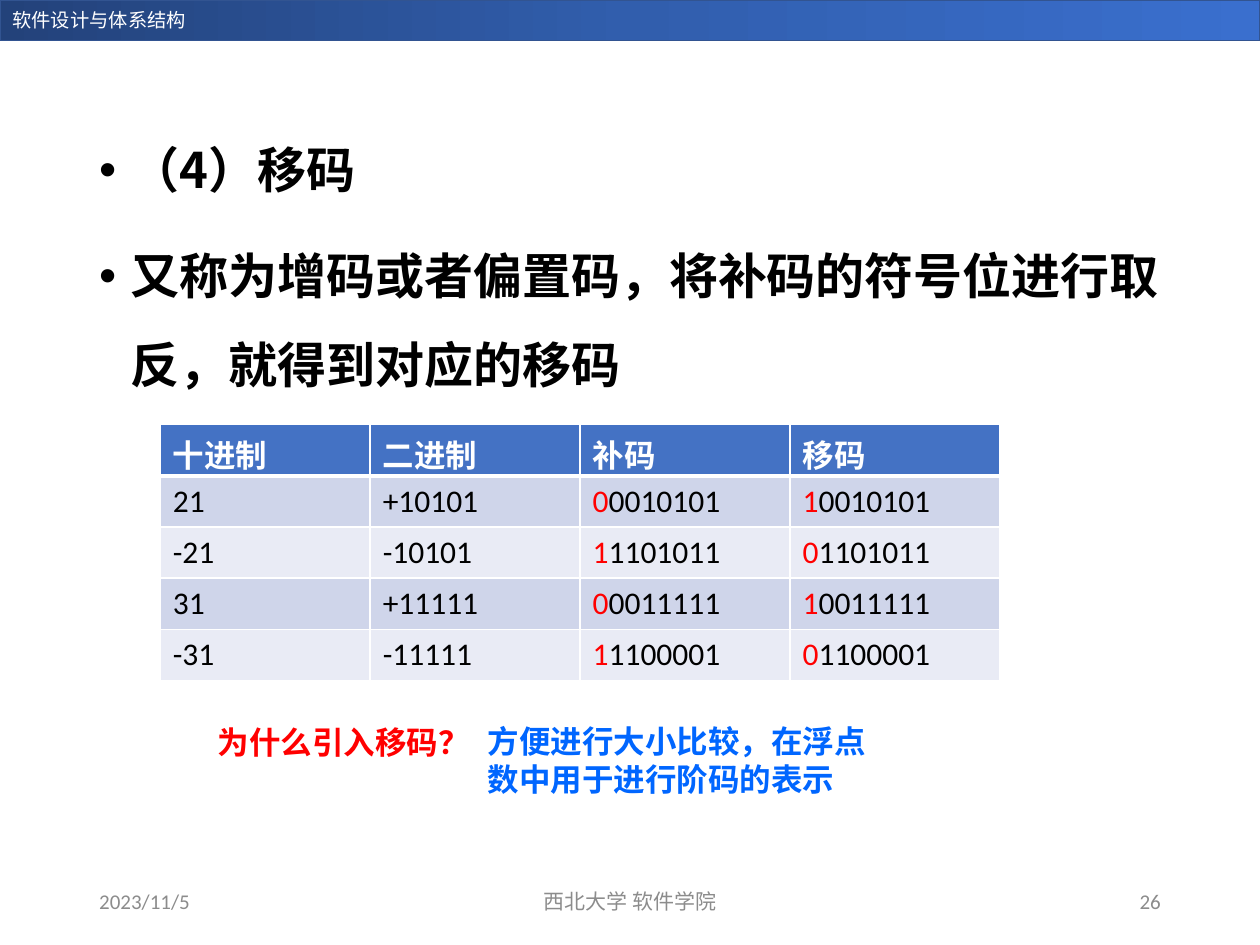
from copy import deepcopy
from dataclasses import dataclass

from lxml.etree import SubElement
from pptx import Presentation
from pptx.dml.color import RGBColor
from pptx.enum.shapes import MSO_SHAPE
from pptx.enum.text import MSO_ANCHOR, PP_ALIGN
from pptx.oxml.ns import qn
from pptx.util import Cm, Pt

LATIN, CHINESE = "Calibri", "Noto Sans CJK SC"
BLACK, WHITE, RED, BLUE, GREY = "000000", "FFFFFF", "FF0000", "0066FF", "8C8C8C"
HEADER_FILL, BAND_FILLS = "4472C4", ("CFD5EA", "E9EBF5")
BAR_STOPS = ((0, "23427A"), (0.5, "315EAD"), (1, "3A6FCE"))
BULLETS = (
    ("（4）移码", {"line_spacing": 0.9}),
    (
        "又称为增码或者偏置码，将补码的符号位进行取反，就得到对应的移码",
        {"line_spacing": 1.5, "space_before": Pt(10)},
    ),
)
HEADINGS = ("十进制", "二进制", "补码", "移码")
ROWS = (
    ("21", "+10101", "00010101", "10010101"),
    ("-21", "-10101", "11101011", "01101011"),
    ("31", "+11111", "00011111", "10011111"),
    ("-31", "-11111", "11100001", "01100001"),
)
SIGNED_COLUMNS = (2, 3)


@dataclass(frozen=True)
class Style:
    size: float
    color: str
    name: str = LATIN
    bold: bool = False


@dataclass(frozen=True)
class Label:
    text: str
    left: float
    top: float
    width: float
    height: float
    style: Style
    alignment: PP_ALIGN = PP_ALIGN.LEFT
    anchor: MSO_ANCHOR = MSO_ANCHOR.TOP


FOOTER = Style(12, GREY)
LABELS = (
    Label("软件设计与体系结构", 0, 0.05, 6.32, 0.74, Style(11, WHITE)),
    Label("2023/11/5", 1.75, 17.65, 5.72, 1.02, FOOTER, anchor=MSO_ANCHOR.MIDDLE),
    Label("西北大学 软件学院", 8.41, 17.65, 8.58, 1.02, FOOTER, PP_ALIGN.CENTER, MSO_ANCHOR.MIDDLE),
    Label("26", 17.93, 17.65, 5.72, 1.02, FOOTER, PP_ALIGN.RIGHT, MSO_ANCHOR.MIDDLE),
    Label("为什么引入移码？", 4.14, 14.45, 5.41, 1.02, Style(18, RED, CHINESE, True)),
    Label(
        "方便进行大小比较，在浮点数中用于进行阶码的表示",
        9.58, 14.43, 8.58, 1.8, Style(18, BLUE, CHINESE, True),
    ),
)


def rgb(value: str) -> RGBColor:
    """Turn a hex string into a colour."""
    return RGBColor.from_string(value)


def apply(target, values: dict) -> None:
    """Set every attribute named in the values."""
    for name, value in values.items():
        setattr(target, name, value)


def add_run(paragraph, text: str, style: Style) -> None:
    """Append one styled run to a paragraph."""
    run = paragraph.add_run()
    run.text = text
    apply(run.font, {"size": Pt(style.size), "bold": style.bold, "name": style.name})
    run.font.color.rgb = rgb(style.color)
    SubElement(run.font._element, qn("a:ea"), typeface=CHINESE)


def add_box(slide, left: float, top: float, width: float, height: float):
    """Add a wrapping text frame at a place given in centimetres."""
    frame = slide.shapes.add_textbox(Cm(left), Cm(top), Cm(width), Cm(height)).text_frame
    frame.word_wrap = True
    return frame


def add_label(slide, label: Label) -> None:
    """Add a text box holding a single paragraph."""
    frame = add_box(slide, label.left, label.top, label.width, label.height)
    frame.vertical_anchor = label.anchor
    frame.paragraphs[0].alignment = label.alignment
    add_run(frame.paragraphs[0], label.text, label.style)


def add_title_bar(slide) -> None:
    """Draw the gradient bar along the top edge."""
    bar = slide.shapes.add_shape(MSO_SHAPE.RECTANGLE, 0, 0, Cm(25.4), Cm(0.82))
    bar.shadow.inherit = False
    bar.fill.gradient()
    bar.fill.gradient_angle = 0
    stop_list = bar._element.spPr.find(".//" + qn("a:gsLst"))
    stop_list.append(deepcopy(stop_list[0]))
    for stop, (position, color) in zip(bar.fill.gradient_stops, BAR_STOPS):
        stop.position = position
        stop.color.rgb = rgb(color)
    bar.line.color.rgb = rgb("325491")
    bar.line.width = Pt(1)


def add_bullets(slide) -> None:
    """Add the bulleted definition."""
    frame = add_box(slide, 1.75, 2.82, 21.9, 12.09)
    for index, (text, spacing) in enumerate(BULLETS):
        paragraph = frame.add_paragraph() if index else frame.paragraphs[0]
        apply(paragraph, spacing)
        properties = paragraph._p.get_or_add_pPr()
        properties.set("marL", str(Cm(0.64)))
        properties.set("indent", str(Cm(-0.64)))
        SubElement(properties, qn("a:buFont"), typeface="Arial")
        SubElement(properties, qn("a:buChar"), char="•")
        add_run(paragraph, text, Style(28, BLACK, CHINESE, True))


def set_borders(cell, bottom: float) -> None:
    """Give a cell white borders with a chosen bottom width."""
    properties = cell._tc.get_or_add_tcPr()
    for side, width in (("L", 1), ("R", 1), ("T", 1), ("B", bottom)):
        line = SubElement(properties, qn(f"a:ln{side}"), w=str(Pt(width)))
        SubElement(SubElement(line, qn("a:solidFill")), qn("a:srgbClr"), val=WHITE)


def add_code_table(slide) -> None:
    """Add the table of codes with red sign bits."""
    table = slide.shapes.add_table(
        len(ROWS) + 1, len(HEADINGS), Cm(3.23), Cm(8.56), Cm(16.93), Cm(5.16)
    ).table
    for row_index, texts in enumerate((HEADINGS, *ROWS)):
        is_header = row_index == 0
        fill = HEADER_FILL if is_header else BAND_FILLS[(row_index - 1) % 2]
        style = Style(18, WHITE if is_header else BLACK, bold=is_header)
        for column, text in enumerate(texts):
            cell = table.cell(row_index, column)
            set_borders(cell, 3 if is_header else 1)
            cell.fill.solid()
            cell.fill.fore_color.rgb = rgb(fill)
            paragraph = cell.text_frame.paragraphs[0]
            if not is_header and column in SIGNED_COLUMNS:
                add_run(paragraph, text[0], Style(18, RED))
                text = text[1:]
            add_run(paragraph, text, style)


def main() -> None:
    """Build and save the slide."""
    presentation = Presentation()
    apply(presentation, {"slide_width": Cm(25.4), "slide_height": Cm(19.05)})
    slide = presentation.slides.add_slide(presentation.slide_layouts[6])
    add_title_bar(slide)
    add_bullets(slide)
    add_code_table(slide)
    for label in LABELS:
        add_label(slide, label)
    presentation.save("out.pptx")


if __name__ == "__main__":
    main()
